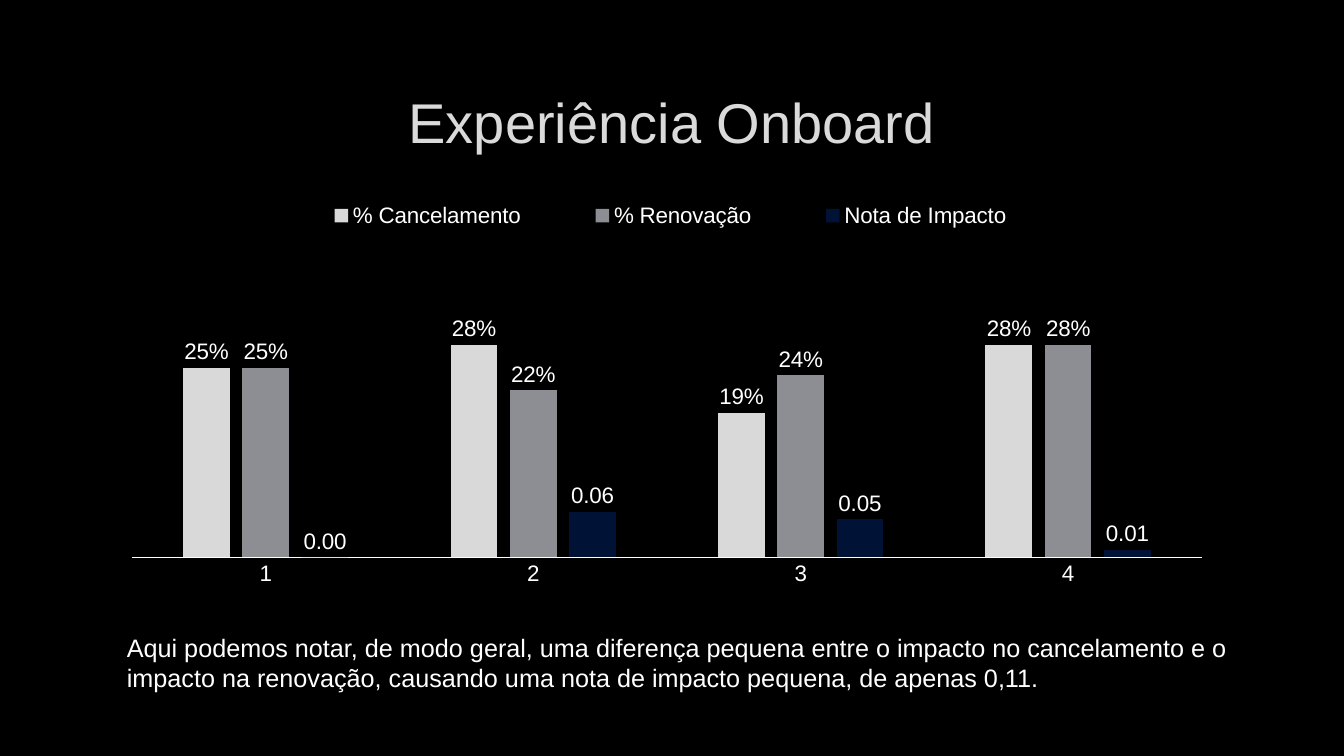
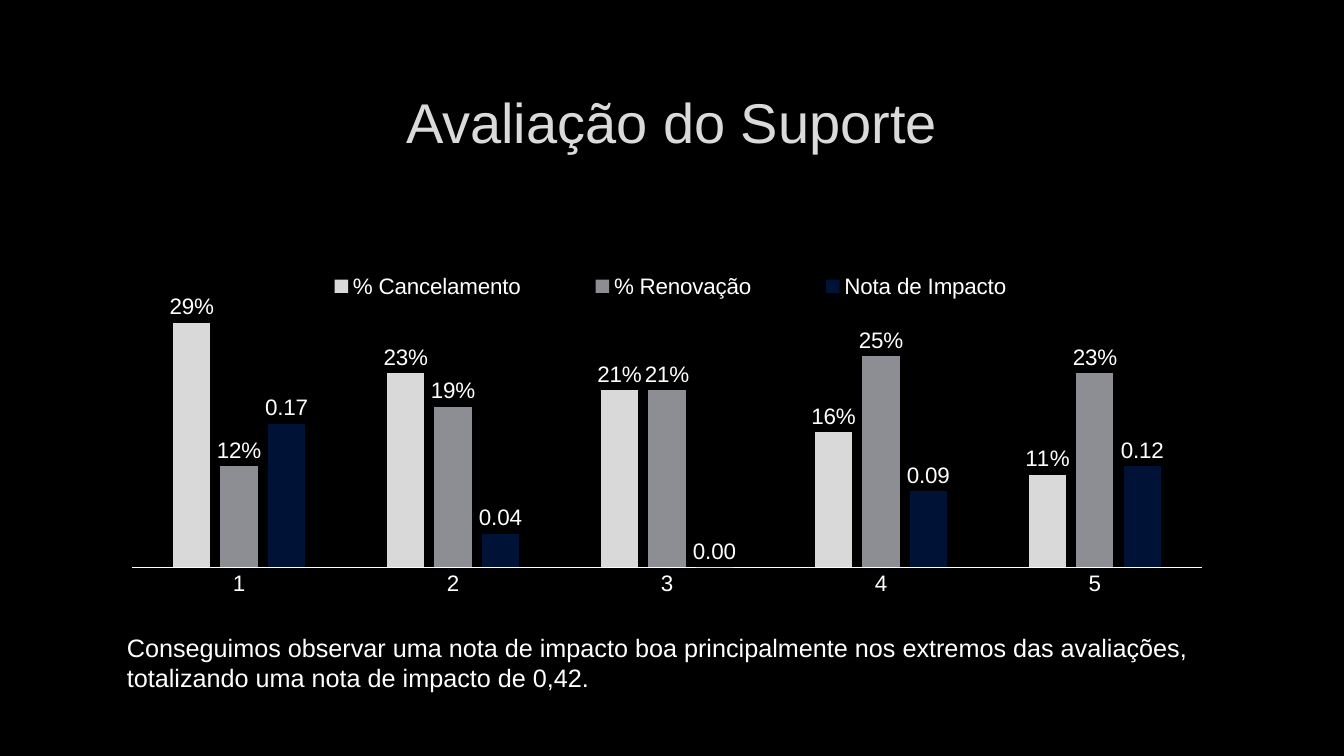
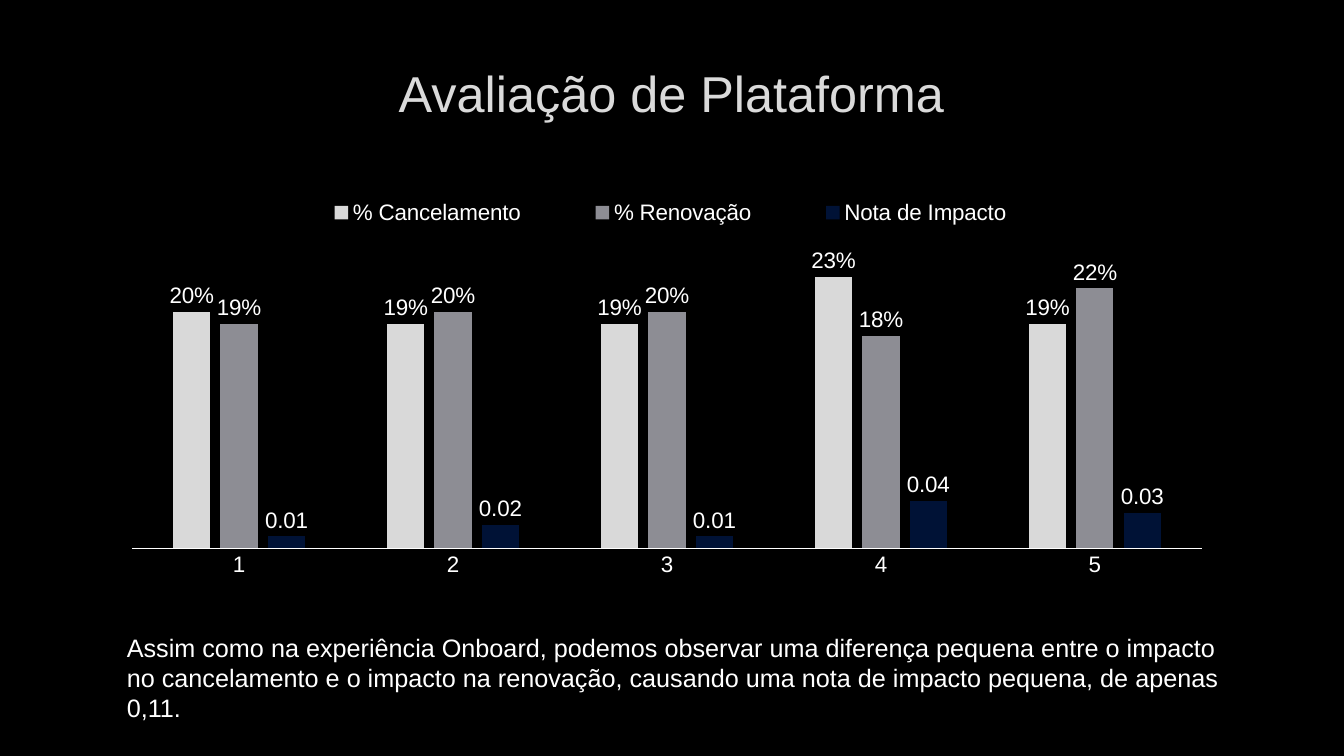
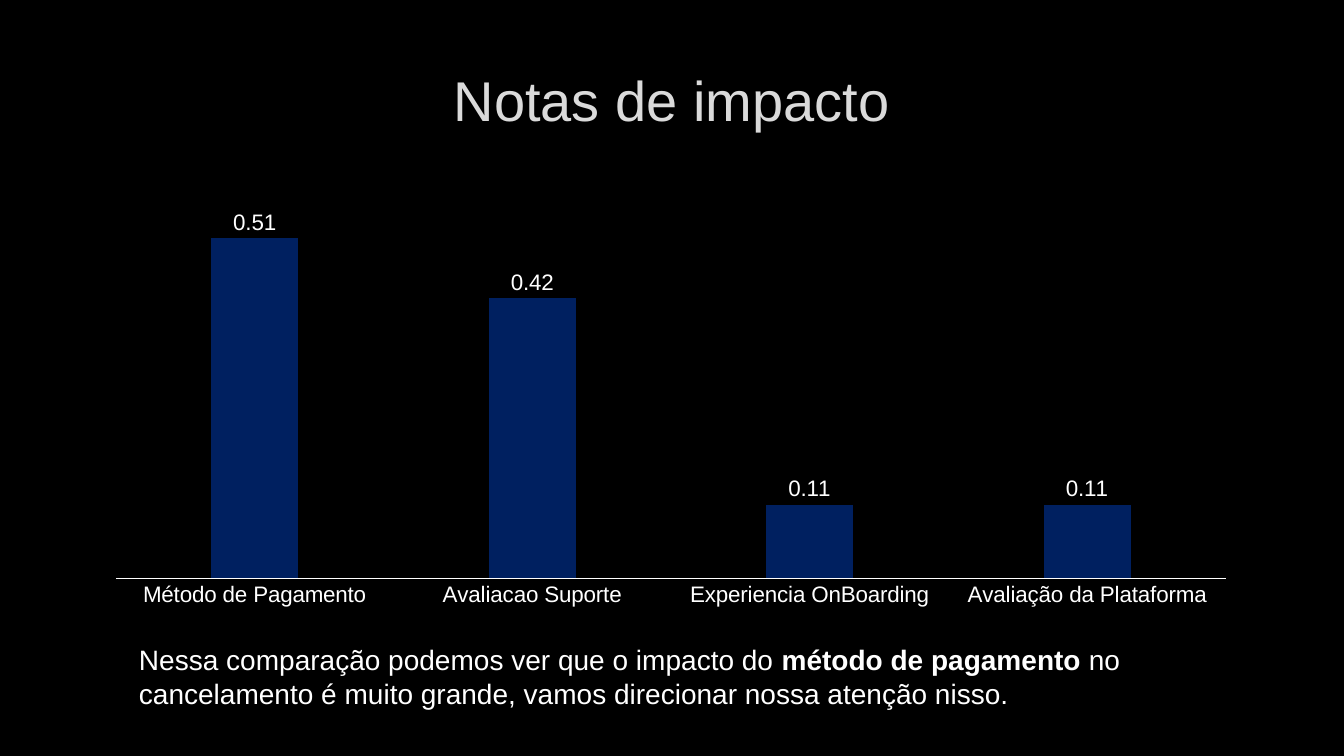
"""Builds four slides that compare impact scores on cancellation and renewal."""
from dataclasses import dataclass

from lxml.etree import SubElement
from pptx import Presentation
from pptx.chart.data import CategoryChartData
from pptx.dml.color import RGBColor
from pptx.enum.chart import XL_CHART_TYPE, XL_LABEL_POSITION, XL_LEGEND_POSITION, XL_TICK_MARK
from pptx.enum.text import MSO_ANCHOR, MSO_AUTO_SIZE, PP_ALIGN
from pptx.oxml import parse_xml
from pptx.oxml.ns import nsdecls, qn
from pptx.util import Inches, Pt


@dataclass(frozen=True)
class Theme:
    """Colours, font and type sizes of the presentation."""
    font: str = "Arial"
    background: str = "000000"
    title: str = "DADADA"
    title_outline: str = "404040"
    text: str = "FFFFFF"
    cancellation: str = "D9D9D9"
    renewal: str = "8D8D94"
    impact: str = "001236"
    score: str = "002060"
    title_size: int = 40
    small_title_size: int = 36
    score_note_size: int = 20
    note_size: int = 18
    chart_size: int = 16


THEME = Theme()
TITLE_ONLY = 5
LEFT, CONTENT_WIDTH, TITLE_HEIGHT = 1, 11.32, 1.06
NOTE_WIDTH = 11.2
LEGEND_LEFT, LEGEND_WIDTH, LEGEND_HEIGHT = 1.65, 8, 0.5
COMPARISON_PLOT_LEFT, COMPARISON_PLOT_WIDTH = 0.31, 10.61


class Deck:
    """Holds the presentation, its theme and the current slide."""

    def __init__(self, theme):
        """Start a widescreen presentation with a plain background."""
        self.theme = theme
        self.presentation = Presentation()
        self.presentation.slide_width = Inches(13.33)
        self.presentation.slide_height = Inches(7.5)
        fill = self.presentation.slide_master.background.fill
        fill.solid()
        fill.fore_color.rgb = RGBColor.from_string(theme.background)
        self.slide = None

    def style(self, font, size, color):
        """Apply the theme font with a size and a colour."""
        font.name = self.theme.font
        font.size = Pt(size)
        font.color.rgb = RGBColor.from_string(color)

    def add_slide(self, title, top=0.67, size=THEME.title_size):
        """Add a slide with a centred, faintly outlined title."""
        layout = self.presentation.slide_layouts[TITLE_ONLY]
        self.slide = self.presentation.slides.add_slide(layout)
        shape = self.slide.shapes.title
        shape.left, shape.top = Inches(LEFT), Inches(top)
        shape.width, shape.height = Inches(CONTENT_WIDTH), Inches(TITLE_HEIGHT)
        text_frame = shape.text_frame
        text_frame.text = title
        text_frame.vertical_anchor = MSO_ANCHOR.MIDDLE
        paragraph = text_frame.paragraphs[0]
        paragraph.alignment = PP_ALIGN.CENTER
        font = paragraph.runs[0].font
        self.style(font, size, self.theme.title)
        outline = parse_xml(
            f'<a:ln {nsdecls("a")} w="{Pt(0.75)}"><a:solidFill>'
            f'<a:srgbClr val="{self.theme.title_outline}"><a:alpha val="10000"/></a:srgbClr>'
            '</a:solidFill><a:prstDash val="solid"/></a:ln>')
        paragraph.runs[0]._r.get_or_add_rPr().insert(0, outline)

    def add_note(self, *parts, left=1.16, top=6.22, height=0.71, size=THEME.note_size):
        """Add the note below the chart; every second part is bold."""
        shape = self.slide.shapes.add_textbox(
            Inches(left), Inches(top), Inches(NOTE_WIDTH), Inches(height))
        text_frame = shape.text_frame
        text_frame.word_wrap = True
        text_frame.auto_size = MSO_AUTO_SIZE.SHAPE_TO_FIT_TEXT
        for index, part in enumerate(parts):
            run = text_frame.paragraphs[0].add_run()
            run.text = part
            self.style(run.font, size, self.theme.text)
            run.font.bold = index % 2 == 1

    def add_columns(self, categories, series_list, top, height, plot_box, maximum, axis_format):
        """Add a column chart; series are name, values, colour and label format."""
        data = CategoryChartData()
        data.categories = categories
        for name, values, _, number_format in series_list:
            data.add_series(name, values, number_format)
        frame = self.slide.shapes.add_chart(
            XL_CHART_TYPE.COLUMN_CLUSTERED, Inches(LEFT), Inches(top),
            Inches(CONTENT_WIDTH), Inches(height), data)
        chart = frame.chart
        chart.has_title = False
        chart.has_legend = False
        self.style(chart.font, 10, self.theme.text)

        category_axis = chart.category_axis
        category_axis.major_tick_mark = XL_TICK_MARK.NONE
        category_axis.format.line.color.rgb = RGBColor.from_string(self.theme.text)
        category_axis.format.line.width = Pt(0.75)
        self.style(category_axis.tick_labels.font, self.theme.chart_size, self.theme.text)
        value_axis = chart.value_axis
        value_axis.visible = False
        value_axis.has_major_gridlines = False
        value_axis.minimum_scale, value_axis.maximum_scale = 0, maximum
        value_axis.tick_labels.number_format = axis_format
        value_axis.tick_labels.number_format_is_linked = False

        plot = chart.plots[0]
        plot.vary_by_categories = False
        plot.gap_width, plot.overlap = 219, -27
        for series, (_, _, color, number_format) in zip(plot.series, series_list):
            series.invert_if_negative = False
            series.format.fill.solid()
            series.format.fill.fore_color.rgb = RGBColor.from_string(color)
            labels = series.data_labels
            labels.show_value = True
            labels.position = XL_LABEL_POSITION.OUTSIDE_END
            labels.number_format = number_format
            labels.number_format_is_linked = False
            self.style(labels.font, self.theme.chart_size, self.theme.text)
        plot_area = next(chart.element.iter(qn("c:plotArea")))
        self.place(plot_area, 0, plot_box, height, "inner")
        return chart

    def add_legend(self, chart, top, chart_height):
        """Add a wide legend at a height within the chart."""
        chart.has_legend = True
        legend = chart.legend
        legend.position = XL_LEGEND_POSITION.RIGHT
        legend.include_in_layout = False
        self.style(legend.font, self.theme.chart_size, self.theme.text)
        box = (LEGEND_LEFT, top, LEGEND_WIDTH, LEGEND_HEIGHT)
        self.place(next(chart.element.iter(qn("c:legend"))), 1, box, chart_height)

    def place(self, element, index, box, chart_height, target=None):
        """Fix a chart part to a box given in inches within the chart."""
        for layout in element.findall(qn("c:layout")):
            element.remove(layout)
        layout = parse_xml(f'<c:layout {nsdecls("c")}><c:manualLayout/></c:layout>')
        settings = [("layoutTarget", target)] if target else []
        settings += [("xMode", "edge"), ("yMode", "edge")]
        extents = (CONTENT_WIDTH, chart_height) * 2
        settings += [(tag, f"{length / extent:.4f}")
                     for tag, length, extent in zip("xywh", box, extents)]
        for tag, value in settings:
            SubElement(layout[0], qn(f"c:{tag}")).set("val", value)
        element.insert(index, layout)

    def add_comparison(self, cancellation, renewal, impact, top, height,
                       plot_top, plot_height, legend_top, maximum):
        """Add the chart of cancellation, renewal and impact by rating."""
        categories = [str(number) for number in range(1, len(impact) + 1)]
        series_list = [
            ("% Cancelamento", cancellation, self.theme.cancellation, "0%"),
            ("% Renovação", renewal, self.theme.renewal, "0%"),
            ("Nota de Impacto", impact, self.theme.impact, "0.00"),
        ]
        plot_box = (COMPARISON_PLOT_LEFT, plot_top, COMPARISON_PLOT_WIDTH, plot_height)
        chart = self.add_columns(categories, series_list, top, height, plot_box, maximum, "0%")
        self.add_legend(chart, legend_top, height)


def main():
    """Build and save the presentation."""
    deck = Deck(THEME)

    deck.add_slide("Experiência Onboard")
    deck.add_comparison(
        (0.25, 0.28, 0.19, 0.28), (0.25, 0.22, 0.24, 0.28), (0, 0.06, 0.05, 0.01),
        top=1.73, height=4.55, plot_top=1.54, plot_height=2.26, legend_top=0.16, maximum=0.3)
    deck.add_note(
        "Aqui podemos notar, de modo geral, uma diferença pequena entre o impacto no "
        "cancelamento e o impacto na renovação, causando uma nota de impacto pequena, "
        "de apenas 0,11.")

    deck.add_slide("Avaliação do Suporte")
    deck.add_comparison(
        (0.29, 0.23, 0.21, 0.16, 0.11), (0.12, 0.19, 0.21, 0.25, 0.23),
        (0.17, 0.04, 0, 0.09, 0.12),
        top=1.92, height=4.44, plot_top=0.78, plot_height=2.93, legend_top=0.67, maximum=0.35)
    deck.add_note(
        "Conseguimos observar uma nota de impacto boa principalmente nos extremos das "
        "avaliações, totalizando uma nota de impacto de 0,42.")

    deck.add_slide("Avaliação de Plataforma", top=0.39, size=THEME.small_title_size)
    deck.add_comparison(
        (0.2, 0.19, 0.19, 0.23, 0.19), (0.19, 0.2, 0.2, 0.18, 0.22),
        (0.01, 0.02, 0.01, 0.04, 0.03),
        top=1.73, height=4.44, plot_top=0.78, plot_height=2.93, legend_top=0.13, maximum=0.25)
    deck.add_note(
        "Assim como na experiência Onboard, podemos observar uma diferença pequena entre o "
        "impacto no cancelamento e o impacto na renovação, causando uma nota de impacto "
        "pequena, de apenas 0,11.")

    deck.add_slide("Notas de impacto", top=0.45)
    deck.add_columns(
        ("Método de Pagamento", "Avaliacao Suporte", "Experiencia OnBoarding",
         "Avaliação da Plataforma"),
        [("Series 1", (0.51, 0.42, 0.11, 0.11), THEME.score, "0.00")],
        top=1.73, height=4.61, plot_box=(0.15, 0.04, 11.01, 3.97),
        maximum=0.6, axis_format="0.00")
    deck.add_note(
        "Nessa comparação podemos ver que o impacto do ", "método de pagamento ",
        "no cancelamento é muito grande, vamos direcionar nossa atenção nisso.",
        left=1.28, top=6.33, height=0.77, size=THEME.score_note_size)

    deck.presentation.save("out.pptx")


if __name__ == "__main__":
    main()
